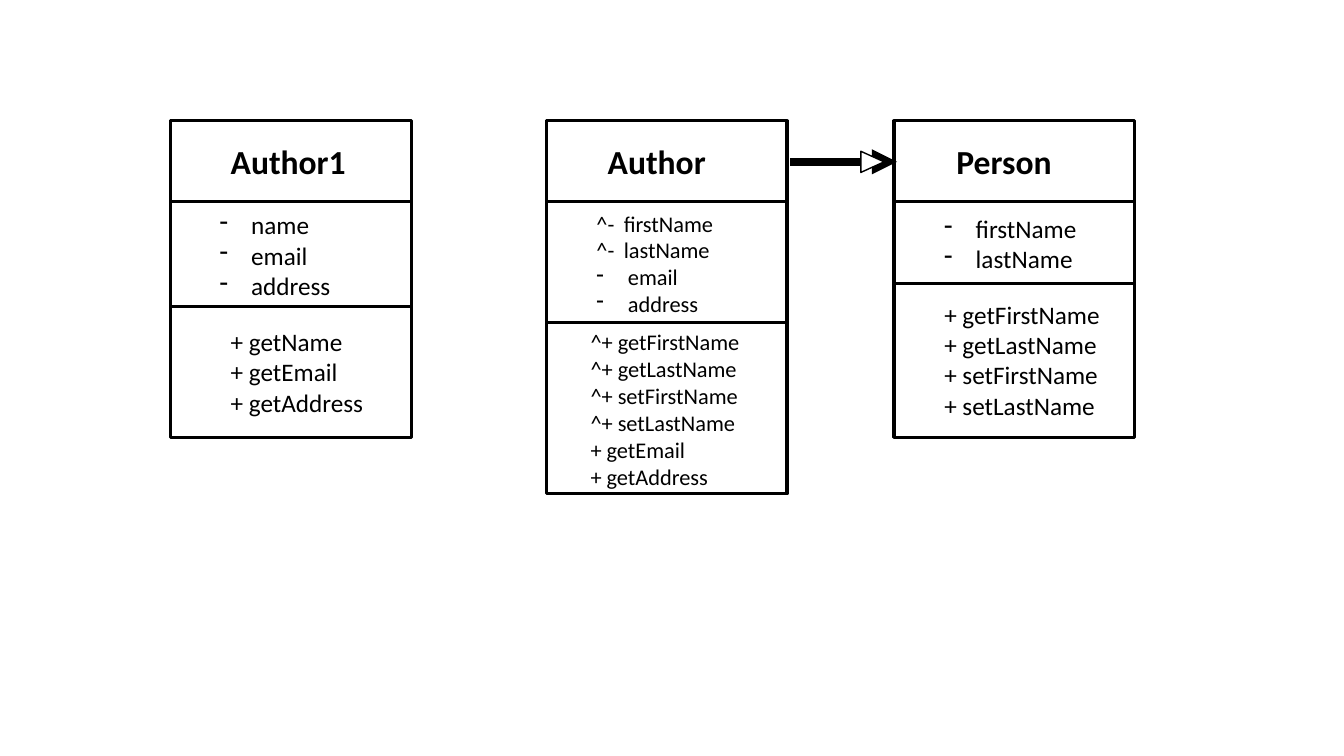
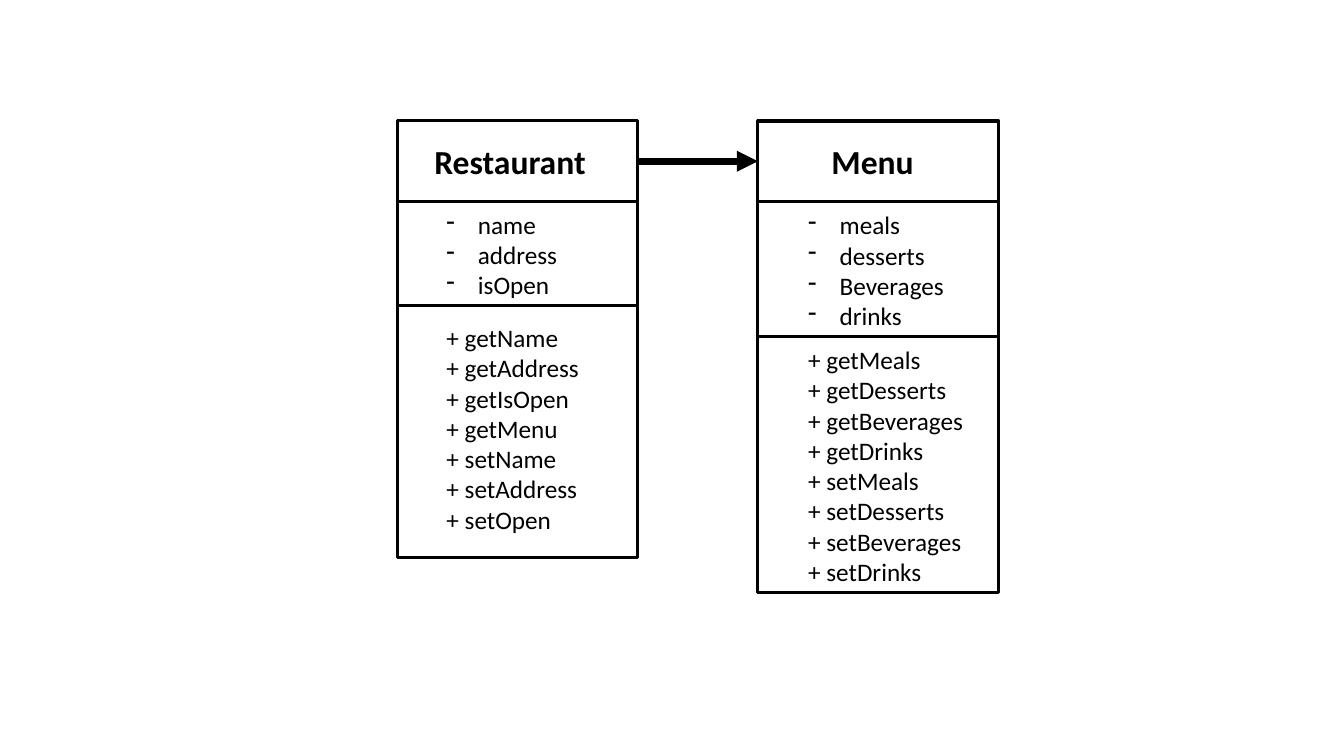
"""Build two slides of UML class diagrams joined by arrows."""
from dataclasses import dataclass

import pptx
import pptx.dml.color
import pptx.enum.shapes
import pptx.enum.text
import pptx.oxml.ns
import pptx.slide
import pptx.util
from lxml import etree

Pt = pptx.util.Pt
qn = pptx.oxml.ns.qn

FONT = "Calibri"
BLACK = "000000"
WHITE = "FFFFFF"
CLASS_TOP = 86.4
CLASS_WIDTH = 172
HEADER_BOTTOM = 144
TITLE_TOP = 97.2
BORDER = 2.25
INSET = 3.6
BULLET_INDENT = 22.5
TAB_INDENT = 19.5


@dataclass(frozen=True)
class Members:
    left: float
    top: float
    width: float
    lines: tuple[str, ...]
    size: float = 18


@dataclass(frozen=True)
class UmlClass:
    name: str
    left: float
    height: float
    divider: float
    title_left: float
    title_width: float
    attributes: Members
    methods: Members


@dataclass(frozen=True)
class Arrow:
    start: float
    end: float
    y: float
    weight: float
    hollow: bool = False


def color(value: str) -> pptx.dml.color.RGBColor:
    """Turn a hex string into a colour."""
    return pptx.dml.color.RGBColor.from_string(value)


def add_text(page: pptx.slide.Slide, text: str, *, left: float, top: float, width: float,
             size: float, bold: bool = False, wrap: bool = True) -> None:
    """Add one paragraph per line; a dash becomes a bullet and a tab a hanging indent."""
    lines = text.split("\n")
    height = len(lines) * size * 1.2 + 2 * INSET
    box = page.shapes.add_textbox(Pt(left), Pt(top), Pt(width), Pt(height))
    frame = box.text_frame
    frame.word_wrap = wrap
    frame.auto_size = pptx.enum.text.MSO_AUTO_SIZE.SHAPE_TO_FIT_TEXT
    for index, line in enumerate(lines):
        para = frame.paragraphs[0] if index == 0 else frame.add_paragraph()
        bulleted = line.startswith("- ")
        if bulleted or "\t" in line:
            indent = Pt(BULLET_INDENT if bulleted else TAB_INDENT)
            properties = para._p.get_or_add_pPr()
            properties.set("marL", str(indent))
            properties.set("indent", str(-indent))
            if bulleted:
                etree.SubElement(properties, qn("a:buFontTx"))
                etree.SubElement(properties, qn("a:buChar")).set("char", "-")
        span = para.add_run()
        span.text = line.removeprefix("- ")
        span.font.name = FONT
        span.font.size = Pt(size)
        span.font.bold = bold
        span.font.color.rgb = color(BLACK)


def add_line(page: pptx.slide.Slide, start: float, end: float, y: float,
             weight: float = BORDER, arrowhead: bool = False) -> None:
    """Draw a horizontal line, with an arrowhead at its end if asked."""
    line = page.shapes.add_connector(
        pptx.enum.shapes.MSO_CONNECTOR.STRAIGHT, Pt(start), Pt(y), Pt(end), Pt(y))
    line.line.color.rgb = color(BLACK)
    line.line.width = Pt(weight)
    if arrowhead:
        etree.SubElement(line.line._get_or_add_ln(), qn("a:tailEnd")).set("type", "triangle")
    etree.SubElement(line._element.spPr, qn("a:effectLst"))


def draw_class(page: pptx.slide.Slide, item: UmlClass) -> None:
    """Draw a class box with its name, attributes and methods."""
    outline = page.shapes.add_shape(
        pptx.enum.shapes.MSO_SHAPE.RECTANGLE,
        Pt(item.left), Pt(CLASS_TOP), Pt(CLASS_WIDTH), Pt(item.height))
    outline.shadow.inherit = False
    outline.fill.background()
    outline.line.color.rgb = color(BLACK)
    outline.line.width = Pt(BORDER)
    for y in (HEADER_BOTTOM, item.divider):
        add_line(page, item.left, item.left + CLASS_WIDTH, y)
    add_text(page, item.name, left=item.title_left, top=TITLE_TOP, width=item.title_width,
             size=24, bold=True, wrap=False)
    for members in (item.attributes, item.methods):
        add_text(page, "\n".join(members.lines), left=members.left, top=members.top,
                 width=members.width, size=members.size)


def draw_arrow(page: pptx.slide.Slide, arrow: Arrow) -> None:
    """Draw an arrow between classes, with a white centre if it is hollow."""
    add_line(page, arrow.start, arrow.end, arrow.y, arrow.weight, arrowhead=True)
    if arrow.hollow:
        width, height = 15.1, 16.6
        center = arrow.end - 17.6
        head = page.shapes.add_shape(
            pptx.enum.shapes.MSO_SHAPE.ISOSCELES_TRIANGLE,
            Pt(center - width / 2), Pt(arrow.y - height / 2), Pt(width), Pt(height))
        head.rotation = 90
        head.shadow.inherit = False
        head.fill.solid()
        head.fill.fore_color.rgb = color(WHITE)
        head.line.color.rgb = color(BLACK)
        head.line.width = Pt(1)


AUTHOR_PAGE = (
    UmlClass("Author1", 121.7, 226.1, 218.9, 157.7, 97.2,
             Members(149.8, 146.2, 115.2, ("- name", "- email", "- address")),
             Members(157.7, 229.7, 123.8, ("+ getName", "+ getEmail", "+ getAddress"))),
    UmlClass("Person", 638.6, 226.1, 202.3, 676.1, 83.5,
             Members(667.4, 149, 115.2, ("- firstName", "- lastName")),
             Members(667.4, 210.2, 151.9, ("+ getFirstName", "+ getLastName",
                                           "+ setFirstName", "+ setLastName"))),
    UmlClass("Author", 390.2, 266.4, 230.4, 427, 85,
             Members(419, 146.2, 115.2, ("^-\tfirstName", "^-\tlastName",
                                         "- email", "- address"), 16),
             Members(414.7, 231.1, 151.9, ("^+ getFirstName", "^+ getLastName",
                                           "^+ setFirstName", "^+ setLastName",
                                           "+ getEmail", "+ getAddress"), 16)),
    Arrow(564.5, 640.8, 115.6, 6, hollow=True),
)

RESTAURANT_PAGE = (
    UmlClass("Menu", 541.4, 337, 240.5, 586.8, 74.2,
             Members(570.2, 146.2, 115.2, ("- meals", "- desserts",
                                           "- Beverages", "- drinks")),
             Members(570.2, 242.6, 144, ("+ getMeals", "+ getDesserts",
                                         "+ getBeverages", "+ getDrinks",
                                         "+ setMeals", "+ setDesserts",
                                         "+ setBeverages", "+ setDrinks"))),
    UmlClass("Restaurant", 283.7, 311.8, 218.2, 303.1, 123.8,
             Members(311.8, 145.8, 115.2, ("- name", "- address", "- isOpen")),
             Members(311.8, 226.8, 123.8, ("+ getName", "+ getAddress", "+ getIsOpen",
                                           "+ getMenu", "+ setName", "+ setAddress",
                                           "+ setOpen"))),
    Arrow(456.5, 541.4, 115.2, 5),
)


def main() -> None:
    """Draw every page and save the deck."""
    deck = pptx.Presentation()
    deck.slide_width, deck.slide_height = Pt(960), Pt(540)
    for items in (AUTHOR_PAGE, RESTAURANT_PAGE):
        page = deck.slides.add_slide(deck.slide_layouts[6])
        page.background.fill.solid()
        page.background.fill.fore_color.rgb = color(WHITE)
        for item in items:
            if isinstance(item, UmlClass):
                draw_class(page, item)
            else:
                draw_arrow(page, item)
    deck.save("out.pptx")


main()
